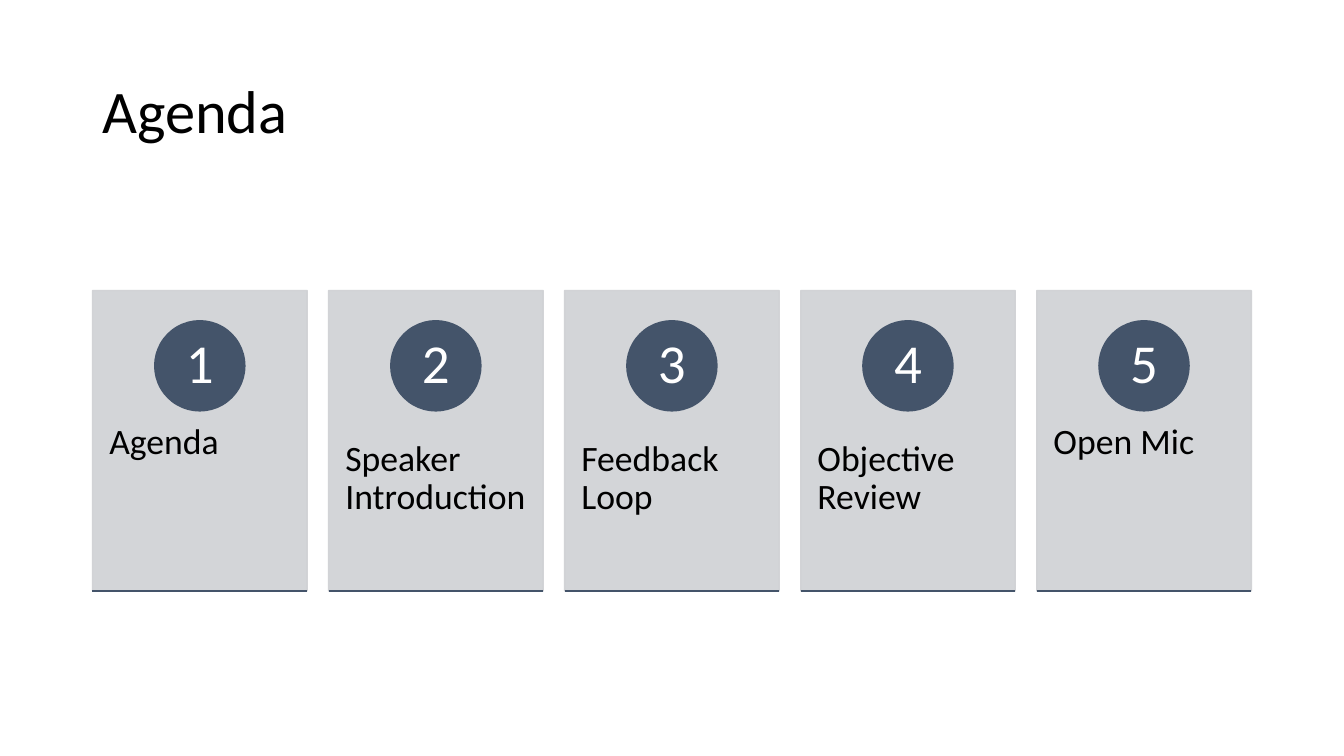
import lxml.etree
import pptx
import pptx.dml.color
import pptx.enum.shapes
import pptx.enum.text
import pptx.oxml.ns
import pptx.util

Pt = pptx.util.Pt
ANCHOR = pptx.enum.text.MSO_ANCHOR
ALIGN = pptx.enum.text.PP_ALIGN
SHAPE = pptx.enum.shapes.MSO_SHAPE

COLORS = {"card": "CFD1D4", "accent": "44546A", "text": "000000", "number": "FFFFFF"}
FONT = "Calibri"
TOPICS = ["Agenda", "Speaker Introduction", "Feedback Loop", "Objective Review", "Open Mic"]


def rgb(name):
    return pptx.dml.color.RGBColor.from_string(COLORS[name])


def write(holder, wording, size, color, insets, anchor, align=ALIGN.LEFT):
    """Fill a shape with one paragraph; insets are left, top, right, bottom."""
    frame = holder.text_frame
    frame.word_wrap = True
    frame.vertical_anchor = anchor
    (frame.margin_left, frame.margin_top,
     frame.margin_right, frame.margin_bottom) = map(Pt, insets)
    paragraph = frame.paragraphs[0]
    paragraph.text = wording
    paragraph.alignment = align
    paragraph.line_spacing = 0.9
    font = paragraph.runs[0].font
    font.name = FONT
    font.size = Pt(size)
    font.color.rgb = rgb(color)


def add_filled(slide, kind, box, color, opacity=100):
    shape = slide.shapes.add_shape(kind, *map(Pt, box))
    shape.shadow.inherit = False
    shape.fill.solid()
    shape.fill.fore_color.rgb = rgb(color)
    shape.line.color.rgb = rgb(color)
    shape.line.width = Pt(1)
    if opacity < 100:
        for tint in shape._element.spPr.iter(pptx.oxml.ns.qn("a:srgbClr")):
            alpha = lxml.etree.SubElement(tint, pptx.oxml.ns.qn("a:alpha"))
            alpha.set("val", str(opacity * 1000))
    return shape


def add_title(slide, box, wording):
    title = slide.shapes.add_textbox(*map(Pt, box))
    write(title, wording, 44, "text", (7.2, 3.6, 7.2, 3.6), ANCHOR.MIDDLE)


def add_card(slide, box, number, topic):
    left, top, width, height = box
    bottom = top + height

    # Panel and topic
    add_filled(slide, SHAPE.RECTANGLE, box, "card", 90)
    label = slide.shapes.add_textbox(Pt(left), Pt(top + 83.3), Pt(width), Pt(131.3))
    write(label, topic, 26, "text", (12.2, 26, 10, 26), ANCHOR.TOP)

    # Numbered badge, centred across the panel
    diameter = 65.7
    badge = add_filled(slide, SHAPE.OVAL,
                       (left + (width - diameter) / 2, top + 22, diameter, diameter),
                       "accent")
    write(badge, str(number), 40, "number", (0, 0, 0, 0), ANCHOR.MIDDLE, ALIGN.CENTER)

    # Rule along the lower edge
    rule = slide.shapes.add_connector(
        pptx.enum.shapes.MSO_CONNECTOR.STRAIGHT,
        Pt(left), Pt(bottom), Pt(left + width), Pt(bottom))
    rule.line.color.rgb = rgb("accent")
    rule.line.width = Pt(1)
    lxml.etree.SubElement(rule._element.spPr, pptx.oxml.ns.qn("a:effectLst"))


def add_agenda(slide, box):
    left, top, width, height = box
    gap = 15.6
    card_width = (width - gap * (len(TOPICS) - 1)) / len(TOPICS)
    for index, topic in enumerate(TOPICS):
        card_left = left + index * (card_width + gap)
        add_card(slide, (card_left, top, card_width, height), index + 1, topic)


def main():
    deck = pptx.Presentation()
    deck.slide_width = Pt(979.2)
    deck.slide_height = Pt(550.8)
    slide = deck.slides.add_slide(deck.slide_layouts[6])
    add_title(slide, (67.4, 29.4, 844.6, 106.5), "Agenda")
    add_agenda(slide, (67.4, 211.7, 844.3, 218.9))
    deck.save("out.pptx")


if __name__ == "__main__":
    main()
